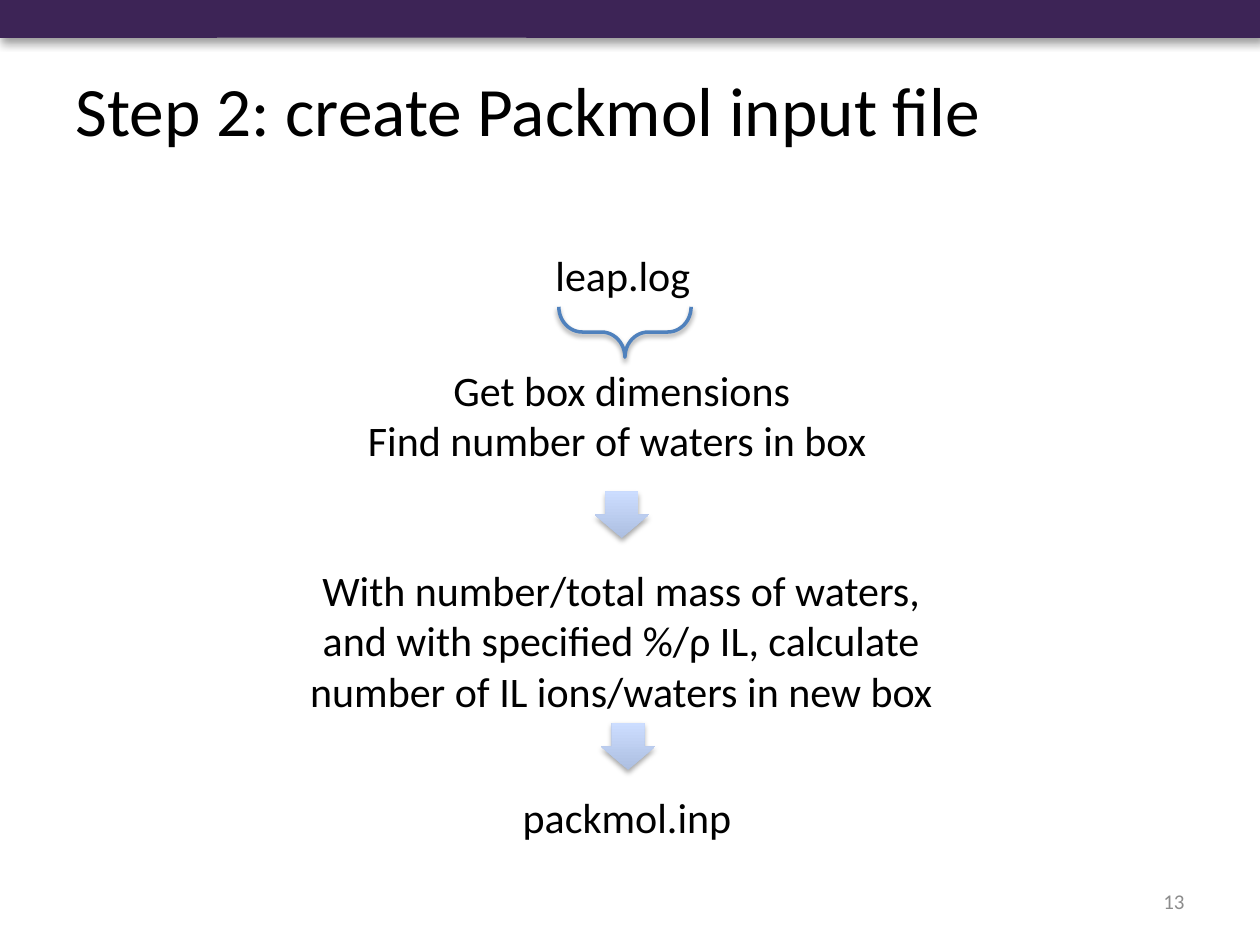
"""Build the slide on creating a Packmol input file."""
from lxml import etree
from pptx import Presentation
from pptx import util as u
from pptx.dml.color import RGBColor
from pptx.enum import shapes, text
from pptx.oxml.ns import qn

BLACK = RGBColor(0x00, 0x00, 0x00)
GRAY = RGBColor(0x8C, 0x8C, 0x8C)
PURPLE = RGBColor(0x3D, 0x24, 0x56)
BLUE = RGBColor(0x4F, 0x81, 0xBD)
ARROW_COLORS = RGBColor(0xAD, 0xBF, 0xE1), RGBColor(0xCC, 0xDD, 0xFF)
FONT = "Calibri"
LEFT, CENTER, RIGHT = text.PP_ALIGN.LEFT, text.PP_ALIGN.CENTER, text.PP_ALIGN.RIGHT

TITLE = "Step 2: create Packmol input file"
STEPS = [
    ((4.31, 1.93, 1.37, 0.5), LEFT, ["leap.log"]),
    ((2.81, 2.84, 4.25, 0.91), CENTER,
     ["Get box dimensions", "Find number of waters in box "]),
    ((2.22, 4.43, 5.42, 1.31), CENTER,
     ["With number/total mass of waters, and with specified %/ρ IL, "
      "calculate number of IL ions/waters in new box"]),
    ((4.05, 6.23, 1.91, 0.5), LEFT, ["packmol.inp"]),
]
PAGE_NUMBER = "13"
ARROWS = [(4.72, 3.9), (4.77, 5.74)]
ARROW_SIZE = (0.43, 0.37)


def place(shape, area):
    shape.left, shape.top, shape.width, shape.height = map(u.Inches, area)


def write(shape, lines, size, align=LEFT, color=BLACK, anchor=text.MSO_ANCHOR.TOP):
    frame = shape.text_frame
    frame.word_wrap = True
    frame.auto_size = text.MSO_AUTO_SIZE.NONE
    frame.vertical_anchor = anchor
    for index, line in enumerate(lines):
        para = frame.add_paragraph() if index else frame.paragraphs[0]
        para.alignment = align
        span = para.add_run()
        span.text = line
        span.font.name, span.font.size = FONT, u.Pt(size)
        span.font.color.rgb = color
    return frame


def add_text(page, area, *args, **options):
    box = page.shapes.add_textbox(*map(u.Inches, area))
    write(box, *args, **options)


def add_shape(page, kind, area, adjustments, shadow):
    shape = page.shapes.add_shape(kind, *map(u.Inches, area))
    for index, value in enumerate(adjustments):
        shape.adjustments[index] = value
    shape.line.fill.background()
    shape.shadow.inherit = False
    opacity, blur, distance = shadow
    effects = shape._element.spPr.find(qn("a:effectLst"))
    outer = etree.SubElement(
        effects, qn("a:outerShdw"), blurRad=str(u.Pt(blur)),
        dist=str(u.Pt(distance)), dir="5400000", rotWithShape="0")
    color = etree.SubElement(outer, qn("a:srgbClr"), val="000000")
    etree.SubElement(color, qn("a:alpha"), val=str(opacity * 1000))
    return shape


def main():
    deck = Presentation()
    deck.slide_width, deck.slide_height = u.Inches(10), u.Inches(7.5)
    page = deck.slides.add_slide(deck.slide_layouts[5])

    banner = add_shape(page, shapes.MSO_SHAPE.RECTANGULAR_CALLOUT,
                       (0, 0, 10.03, 0.3), (-0.085, 0.499), (40, 5, 3))
    banner.fill.solid()
    banner.fill.fore_color.rgb = PURPLE

    title = page.shapes.title
    place(title, (0.5, 0.53, 9, 1.25))
    write(title, [TITLE], 39.6).margin_top = 0

    for area, align, lines in STEPS:
        add_text(page, area, lines, 24, align)

    brace = add_shape(page, shapes.MSO_SHAPE.LEFT_BRACE,
                      (4.76, 2.11, 0.4, 1.05), (0.466, 0.5), (38, 3.1, 1.6))
    brace.rotation = 270
    brace.fill.background()
    brace.line.color.rgb = BLUE
    brace.line.width = u.Pt(2)

    for corner in ARROWS:
        arrow = add_shape(page, shapes.MSO_SHAPE.DOWN_ARROW,
                          corner + ARROW_SIZE, (0.6, 0.5), (35, 3.1, 1.8))
        arrow.fill.gradient()
        arrow.fill.gradient_angle = 90
        for stop, color in zip(arrow.fill.gradient_stops, ARROW_COLORS):
            stop.color.rgb = color

    add_text(page, (7.17, 6.95, 2.33, 0.4), [PAGE_NUMBER], 12, RIGHT, GRAY,
             text.MSO_ANCHOR.MIDDLE)
    deck.save("out.pptx")


if __name__ == "__main__":
    main()
